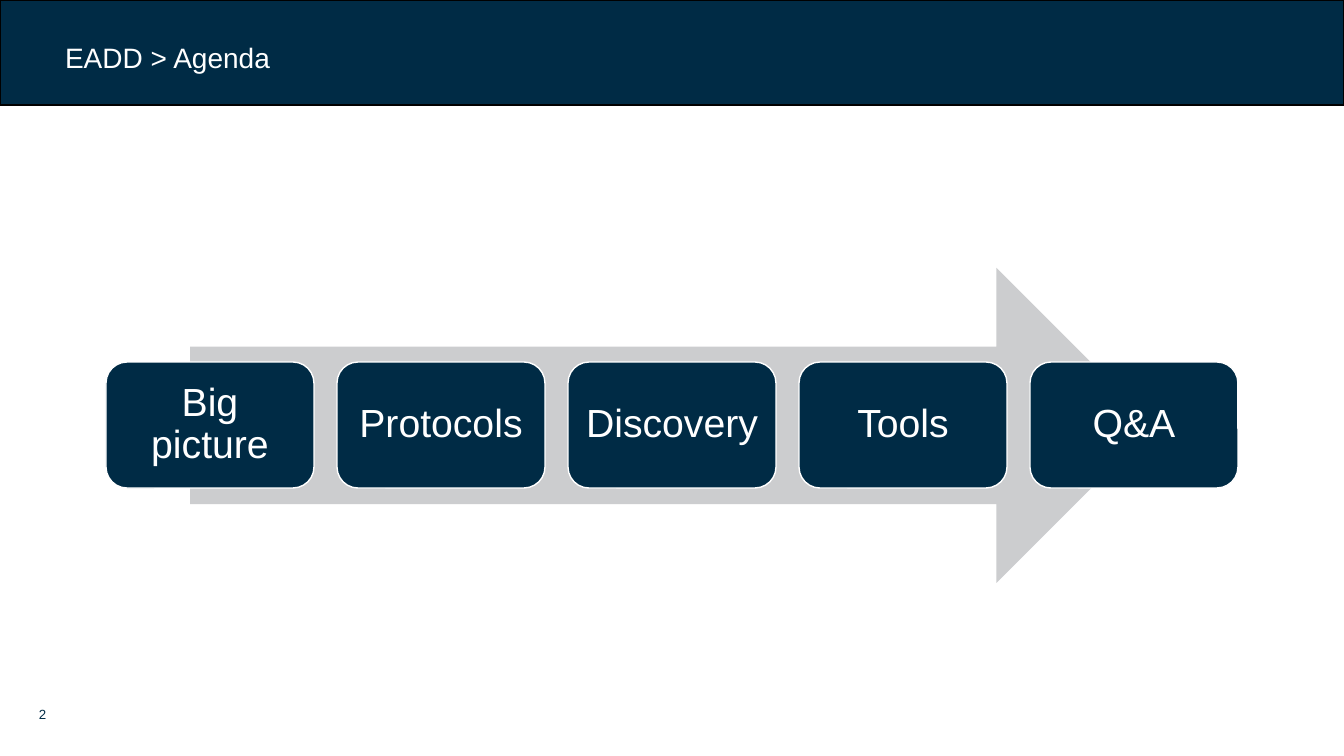
import pptx
import pptx.util
import pptx.dml.color
import pptx.enum.shapes
import pptx.enum.text

EMU_PER_PX = 914400 / 100.8
COLORS = {"navy": "002B45", "grey": "CCCDCF", "white": "FFFFFF", "black": "000000"}
STEPS = ["Big picture", "Protocols", "Discovery", "Tools", "Q&A"]
STEP_LEFT, STEP_PITCH = 106, 231
SHAPES = pptx.enum.shapes.MSO_SHAPE
ALIGN = pptx.enum.text.PP_ALIGN
ANCHOR = pptx.enum.text.MSO_ANCHOR


def px(length):
    """Turn a length in px into EMU."""
    return pptx.util.Emu(round(length * EMU_PER_PX))


def color(name):
    """Look up a named colour."""
    return pptx.dml.color.RGBColor.from_string(COLORS[name])


def set_attributes(target, values):
    """Set each given attribute on the target."""
    for name, value in values.items():
        setattr(target, name, value)


def paint(shape, fill, line=None):
    """Give a shape a solid fill and an optional 1 pt outline."""
    shape.fill.solid()
    shape.fill.fore_color.rgb = color(fill)
    if line:
        shape.line.color.rgb = color(line)
        shape.line.width = pptx.util.Pt(1)
    else:
        shape.line.fill.background()


def write(shape, text, size, font_color, insets, anchor, **para_format):
    """Write one formatted paragraph into a shape."""
    frame = shape.text_frame
    sides = ("margin_left", "margin_top", "margin_right", "margin_bottom")
    set_attributes(frame, dict(zip(sides, map(px, insets))))
    set_attributes(frame, {"word_wrap": True, "vertical_anchor": anchor,
                           "auto_size": pptx.enum.text.MSO_AUTO_SIZE.NONE})
    para = frame.paragraphs[0]
    set_attributes(para, para_format)
    span = para.add_run()
    span.text = text
    set_attributes(span.font, {"name": "Arial", "size": pptx.util.Pt(size), "bold": False})
    span.font.color.rgb = color(font_color)


def add_block(page, kind, bounds, fill, line=None):
    """Add a flat preset shape."""
    shape = page.shapes.add_shape(kind, *map(px, bounds))
    shape.shadow.inherit = False
    paint(shape, fill, line)
    return shape


def add_header(page, text):
    """Turn the title placeholder into the header band."""
    title = page.shapes.title
    set_attributes(title, {"left": px(0), "top": px(0), "width": px(1344), "height": px(105)})
    paint(title, "navy", "black")
    write(title, text, 20, "white", (65, 10, 10, 0), ANCHOR.MIDDLE, alignment=ALIGN.LEFT)


def add_step(page, index, text):
    """Add one agenda step on the arrow."""
    bounds = (STEP_LEFT + index * STEP_PITCH, 362, 208, 126)
    box = add_block(page, SHAPES.ROUNDED_RECTANGLE, bounds, "navy", "white")
    write(box, text, 28, "white", (10, 10, 10, 10), ANCHOR.MIDDLE,
          alignment=ALIGN.CENTER, line_spacing=0.9)


def add_page_number(page, number):
    """Add the page number at the lower left."""
    box = page.shapes.add_textbox(*map(px, (39, 702, 40, 20)))
    write(box, number, 9.5, "navy", (0, 0, 0, 0), ANCHOR.BOTTOM, alignment=ALIGN.LEFT)


def main():
    """Build the agenda slide."""
    deck = pptx.Presentation()
    set_attributes(deck, {"slide_width": px(1344), "slide_height": px(756)})
    page = deck.slides.add_slide(deck.slide_layouts.get_by_name("Title Only"))
    add_header(page, "EADD > Agenda")
    add_page_number(page, "2")
    add_block(page, SHAPES.RIGHT_ARROW, (190, 268, 964, 315), "grey")
    for index, text in enumerate(STEPS):
        add_step(page, index, text)
    deck.save("out.pptx")


if __name__ == "__main__":
    main()
